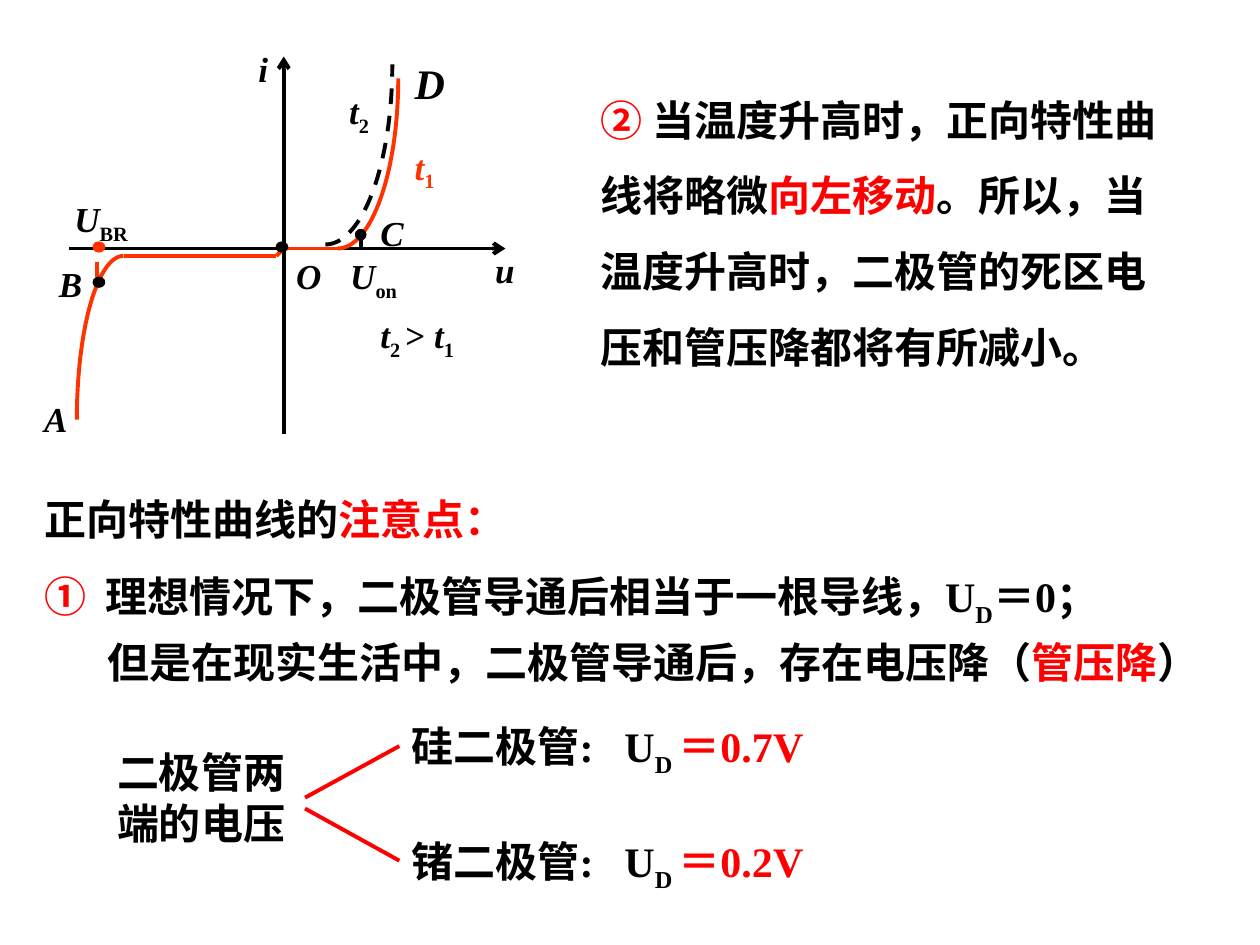
from math import cos, pi, sin

from lxml.etree import SubElement
from pptx import Presentation
from pptx.dml.color import RGBColor
from pptx.enum.dml import MSO_LINE
from pptx.enum.shapes import MSO_CONNECTOR, MSO_SHAPE
from pptx.enum.text import MSO_AUTO_SIZE
from pptx.oxml.ns import qn
from pptx.util import Cm, Pt

LATIN, CJK = "Times New Roman", "Noto Sans CJK SC"
BLACK, RED, ORANGE = "000000", "FF0000", "FF3300"


def rgb(color):
    """Turn a hex string into a colour."""
    return RGBColor.from_string(color)


def run(text, color=BLACK, sub=False, italic=False, font=LATIN):
    """Describe one run of text."""
    return text, color, sub, italic, font


def add_text(slide, left, top, width, height, runs, size=24, spacing=None, tab=None):
    """Add a one-paragraph text box, with an optional tab stop."""
    box = slide.shapes.add_textbox(Cm(left), Cm(top), Cm(width), Cm(height))
    frame = box.text_frame
    frame.word_wrap = True
    frame.auto_size = MSO_AUTO_SIZE.SHAPE_TO_FIT_TEXT
    paragraph = frame.paragraphs[0]
    if tab:
        stops = SubElement(paragraph._p.get_or_add_pPr(), qn("a:tabLst"))
        SubElement(stops, qn("a:tab"), pos=str(Cm(tab)), algn="l")
    if spacing:
        paragraph.line_spacing = spacing
    for text, color, sub, italic, font in runs:
        part = paragraph.add_run()
        part.text = text
        part.font.size = Pt(size)
        part.font.bold = True
        part.font.italic = italic
        part.font.color.rgb = rgb(color)
        part.font.name = font
        properties = part._r.get_or_add_rPr()
        SubElement(properties, qn("a:ea"), typeface=CJK)
        if sub:
            properties.set("baseline", "-25000")


def style_line(line, color, dashed=False):
    """Give a line its colour, width and dash."""
    line.color.rgb = rgb(color)
    line.width = Pt(2.25)
    if dashed:
        line.dash_style = MSO_LINE.DASH


def add_line(slide, start, end, color, dashed=False, head=None, tail=None):
    """Add a straight line with optional end marks."""
    points = [Cm(value) for value in (*start, *end)]
    connector = slide.shapes.add_connector(MSO_CONNECTOR.STRAIGHT, *points)
    style_line(connector.line, color, dashed)
    outline = connector.line._get_or_add_ln()
    for name, mark in (("a:headEnd", head), ("a:tailEnd", tail)):
        if mark:
            SubElement(outline, qn(name), type=mark)
    SubElement(connector._element.spPr, qn("a:effectLst"))


def add_quarter_ellipse(slide, center, radii, color, dashed=False, steps=32):
    """Add an open quarter ellipse; negative radii mirror it."""
    angles = [pi / 2 * step / steps for step in range(steps + 1)]
    points = [(Cm(center[0] + radii[0] * sin(angle)), Cm(center[1] + radii[1] * cos(angle)))
              for angle in angles]
    builder = slide.shapes.build_freeform(*points[0])
    builder.add_line_segments(points[1:], close=False)
    curve = builder.convert_to_shape()
    curve.shadow.inherit = False
    curve.fill.background()
    style_line(curve.line, color, dashed)


def add_dot(slide, left, top, color):
    """Mark a point on the characteristic."""
    dot = slide.shapes.add_shape(MSO_SHAPE.OVAL, Cm(left), Cm(top), Cm(0.23), Cm(0.2))
    dot.shadow.inherit = False
    dot.fill.solid()
    dot.fill.fore_color.rgb = rgb(color)
    dot.line.color.rgb = rgb(color)
    dot.line.width = Pt(0.75)


def add_characteristic(slide, left, top):
    """Draw the diode characteristic at two temperatures."""
    def at(x, y):
        """Shift a point into the diagram."""
        return left + x, top + y

    add_quarter_ellipse(slide, at(5.92, 0.46), (1.35, 3.63), BLACK, dashed=True)
    add_line(slide, at(0.76, 4.17), at(9.55, 4.17), BLACK, tail="arrow")
    add_line(slide, at(5.08, 0.3), at(5.08, 7.9), BLACK, head="arrow")

    reverse_path = [at(6.17, 4.17), at(5.08, 4.17), at(4.93, 4.32), at(1.85, 4.32)]
    for start, end in zip(reverse_path, reverse_path[1:]):
        add_line(slide, start, end, ORANGE)
    add_quarter_ellipse(slide, at(6.17, 0.74), (1.22, 3.43), ORANGE)
    add_quarter_ellipse(slide, at(1.85, 7.62), (-0.94, -3.3), ORANGE)
    add_line(slide, at(1.32, 4.75), at(1.32, 4.04), ORANGE, dashed=True)
    add_line(slide, at(6.63, 3.89), at(6.63, 4.17), BLACK, head="oval")
    for x, y, color in ((1.24, 4.75, BLACK), (4.93, 4.04, BLACK), (1.24, 4.04, ORANGE)):
        add_dot(slide, *at(x, y), color)

    labels = [
        ("u", "", 9.09, 4.04, 1.7, BLACK, 20),
        ("i", "", 4.32, 0, 1.7, BLACK, 20),
        ("O", "", 5.08, 4.17, 1.22, BLACK, 20),
        ("A", "", 0, 7.04, 1.4, BLACK, 20),
        ("B", "", 0.3, 4.32, 1.4, BLACK, 20),
        ("C", "", 6.78, 3.3, 1.4, BLACK, 20),
        ("D", "", 7.47, 0.2, 1.57, BLACK, 24),
        ("t", "1", 7.47, 1.96, 1.09, ORANGE, 20),
        ("t", "2", 6.15, 0.84, 1.17, BLACK, 20),
        ("U", "BR", 0.61, 3.02, 2.01, BLACK, 20),
        ("U", "on", 6.17, 4.17, 2.01, BLACK, 20),
    ]
    for symbol, index, x, y, width, color, size in labels:
        runs = [run(symbol, color, italic=True)]
        if index:
            runs.append(run(index, color, sub=True))
        add_text(slide, *at(x, y), width, 1.2, runs, size)
    comparison = [run("t", italic=True), run("2 ", sub=True), run("> "),
                  run("t", italic=True), run("1", sub=True)]
    add_text(slide, *at(6.78, 5.36), 2.82, 1.2, comparison, 20)


def add_temperature_note(slide, left, top):
    """Explain the effect of temperature."""
    runs = [run("② ", RED), run("当温度升高时，正向特性曲线将略微", font=CJK),
            run("向左移动", RED, font=CJK),
            run("。所以，当温度升高时，二极管的死区电压和管压降都将有所减小。", font=CJK)]
    add_text(slide, left, top, 12.27, 6.35, runs, spacing=1.5)


def add_forward_notes(slide, left, top):
    """List the points to note about the forward characteristic."""
    add_text(slide, left, top, 22.23, 1.78,
             [run("正向特性曲线的"), run("注意点：", RED)], spacing=1.5)
    ideal = [run("①\t", RED, font=CJK),
             run("理想情况下，二极管导通后相当于一根导线，", font=CJK),
             run("U"), run("D", sub=True), run("＝0；")]
    add_text(slide, left, top + 1.48, 23.67, 2, ideal, spacing=1.5, tab=1.23)
    real = [run("但是在现实生活中，二极管导通后，存在电压降（"), run("管压降", RED), run("）")]
    add_text(slide, left + 1.27, top + 3.38, 22.81, 1.27, real)


def add_voltage_branches(slide, left, top):
    """Branch the diode voltage into silicon and germanium."""
    add_text(slide, left, top + 0.53, 4.65, 2.29, [run("二极管两端的电压")])
    branches = (("硅二极管:", "＝0.7V", 0, 1.68, 0.64),
                ("锗二极管:", "＝0.2V", 2.32, 1.9, 2.95))
    for diode, voltage, y, start, end in branches:
        add_line(slide, (left + 4.04, top + start), (left + 5.94, top + end), RED)
        add_text(slide, left + 5.94, top + y, 11.23, 1.42,
                 [run(diode + "\tU"), run("D ", sub=True), run(voltage, RED)], tab=4.29)


def main():
    """Build and save the slide."""
    presentation = Presentation()
    presentation.slide_width, presentation.slide_height = Cm(25.4), Cm(19.05)
    slide = presentation.slides.add_slide(presentation.slide_layouts[6])
    add_characteristic(slide, 0.64, 0.84)
    add_temperature_note(slide, 11.86, 1.27)
    add_forward_notes(slide, 0.64, 9.32)
    add_voltage_branches(slide, 2.11, 14.4)
    presentation.save("out.pptx")


if __name__ == "__main__":
    main()
